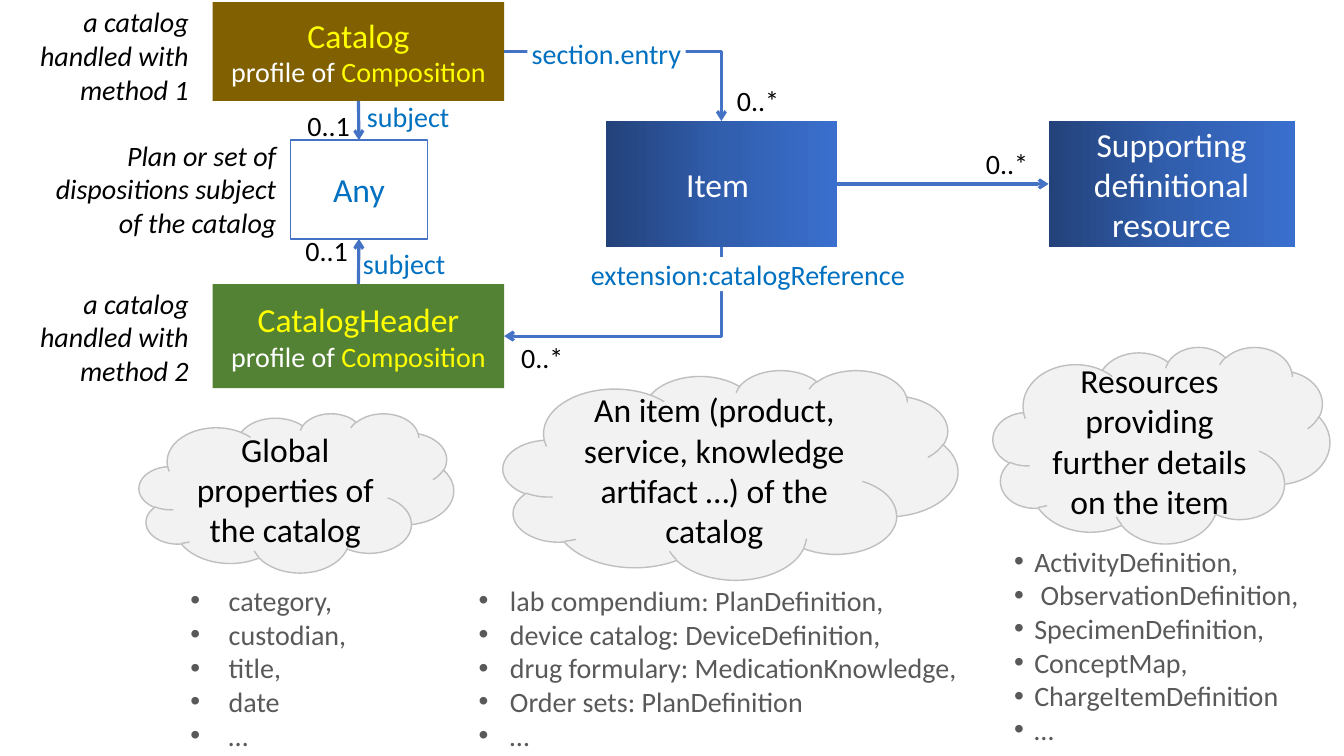
from copy import deepcopy

from pptx import Presentation, util as u
from pptx.dml.color import RGBColor
from pptx.enum import shapes, text
from pptx.oxml import parse_xml
from pptx.oxml.ns import nsdecls, qn

# ---- Content ----
C = dict(gold="806000", green="548235", yellow="FFFF00", white="FFFFFF", black="000000",
         blue="0070C0", line="4472C4", cloud="F2F2F2", edge="BFBFBF", grey="595959")
GRADIENT = [(0, "23427A"), (0.5, "315EAD"), (1, "3A6FCE")]
PROFILE = [("profile of ", 20, "white"), ("Composition", 20, "yellow")]

# Diagram grid: column (left, width) and row (top, height), in inches
COLS = dict(catalog=(2.11, 2.89), any=(2.88, 1.36), item=(6.01, 2.29), support=(10.4, 2.44))
ROWS = dict(top=(0.02, 0.98), any=(1.39, 0.98), middle=(1.2, 1.25), header=(2.82, 1.03))

# name: (column, row, fill, outline, paragraphs of runs)
BOXES = {
    "catalog": ("catalog", "top", "gold", None, [[("Catalog", 24, "yellow")], PROFILE]),
    "header": ("catalog", "header", "green", None, [[("CatalogHeader ", 24, "yellow")] + PROFILE]),
    "any": ("any", "any", "white", "line", [[("Any", 24, "blue")]]),
    "item": ("item", "middle", None, None, [[("Item ", 24, "white")]]),
    "support": ("support", "middle", None, None,
                [[("Supporting definitional resource", 24, "white")]]),
}
CLOUDS = [
    ((1.38, 4.1, 3.12, 1.58), "Global properties of the catalog"),
    ((4.99, 3.67, 4.51, 2.08), "An item (product, service, knowledge artifact …) of the catalog"),
    ((9.85, 3.44, 3.34, 1.95), "Resources providing further details on the item"),
]
# (position, bullet indent, entries)
LISTS = [
    ((1.79, 5.74, 2.49, 1.78), 0.38, ["category,", "custodian,", "title,", "date", "…"]),
    ((4.65, 5.74, 5.57, 1.78), 0.31,
     ["lab compendium: PlanDefinition,", "device catalog: DeviceDefinition,",
      "drug formulary: MedicationKnowledge,", "Order sets: PlanDefinition", "…"]),
    ((9.96, 5.35, 3.24, 2.12), 0.2,
     ["ActivityDefinition,", " ObservationDefinition,", "SpecimenDefinition,", "ConceptMap,",
      "ChargeItemDefinition", "…"]),
]
NOTES = [
    ((0.12, 0, 1.85, 1.11), "a catalog handled with method 1"),
    ((0.12, 2.79, 1.85, 1.11), "a catalog handled with method 2"),
    ((0.3, 1.32, 2.54, 1.11), "Plan or set of dispositions subject of the catalog"),
]
CARDINALITIES = [(5.07, 3.33, "0..*"), (9.68, 1.4, "0..*"), (7.21, 0.78, "0..*"),
                 (2.95, 1.03, "0..1"), (2.93, 2.27, "0..1")]
# (left, top, width, wording, fill, alignment)
RELATIONS = [
    (5.86, 2.55, 3.41, "extension:catalogReference", "white", "LEFT"),
    (5.23, 0.36, 1.57, "section.entry", "white", "CENTER"),
    (3.6, 2.45, 1, "subject", None, "LEFT"),
    (3.64, 0.99, 1, "subject", None, "LEFT"),
]
BOTTOM, LEFT, TOP, RIGHT = 2, 1, 0, 3
STRAIGHT = [("catalog", BOTTOM, "any", TOP), ("header", TOP, "any", BOTTOM),
            ("item", RIGHT, "support", LEFT)]

prs = Presentation()
prs.slide_width, prs.slide_height = u.Inches(13.33), u.Inches(7.5)
s = prs.slides.add_slide(prs.slide_layouts[6])


# ---- Helpers ----
def rgb(name):
    return RGBColor.from_string(C[name])


def inches(values):
    return [u.Inches(v) for v in values]


def write(sp, paragraphs, align="LEFT", anchor="TOP", italic=False, inset=None, indent=None):
    tf = sp.text_frame
    tf.word_wrap = True
    tf.vertical_anchor = getattr(text.MSO_ANCHOR, anchor)
    if inset is not None:
        for side in ("left", "top", "right", "bottom"):
            setattr(tf, "margin_" + side, inset)
    for i, runs in enumerate(paragraphs):
        p = tf.add_paragraph() if i else tf.paragraphs[0]
        p.alignment = getattr(text.PP_ALIGN, align)
        if indent:
            pPr = p._p.get_or_add_pPr()
            pPr.set("marL", str(u.Inches(indent)))
            pPr.set("indent", str(-u.Inches(indent)))
            pPr.append(parse_xml(f'<a:buFont {nsdecls("a")} typeface="Arial"/>'))
            pPr.append(parse_xml(f'<a:buChar {nsdecls("a")} char="•"/>'))
        for words, size, color in runs:
            r = p.add_run()
            r.text = words
            for key, value in dict(name="Calibri", size=u.Pt(size), italic=italic).items():
                setattr(r.font, key, value)
            r.font.color.rgb = rgb(color)


def add_block(kind, at, fill, outline):
    sp = s.shapes.add_shape(kind, *inches(at))
    sp.shadow.inherit = False
    if fill:
        sp.fill.solid()
        sp.fill.fore_color.rgb = rgb(fill)
    else:
        sp.fill.gradient()
        sp.fill.gradient_angle = 0
        first = sp._element.spPr.find(".//" + qn("a:gs"))
        first.addnext(deepcopy(first))
        for stop, (position, color) in zip(sp.fill.gradient_stops, GRADIENT):
            stop.position = position
            stop.color.rgb = RGBColor.from_string(color)
    if outline:
        sp.line.color.rgb = rgb(outline)
        sp.line.width = u.Pt(1)
    else:
        sp.line.fill.background()
    return sp


def add_arrow(kind, points, end):
    c = s.shapes.add_connector(kind, *inches(points))
    c.line.color.rgb = rgb("line")
    c.line.width = u.Pt(2.25)
    c.line._get_or_add_ln().append(parse_xml(f'<a:{end} {nsdecls("a")} type="arrow"/>'))
    c._element.spPr.append(parse_xml(f'<a:effectLst {nsdecls("a")}/>'))
    return c


# ---- Clouds and bullet lists ----
for at, words in CLOUDS:
    sp = add_block(shapes.MSO_SHAPE.CLOUD, at, "cloud", "edge")
    write(sp, [[(words, 24, "black")]], "CENTER", "MIDDLE")
for at, indent, entries in LISTS:
    write(s.shapes.add_textbox(*inches(at)), [[(e, 20, "grey")] for e in entries], indent=indent)

# ---- Boxes ----
box = {}
for name, (col, row, fill, outline, paragraphs) in BOXES.items():
    (x, w), (y, h) = COLS[col], ROWS[row]
    box[name] = add_block(shapes.MSO_SHAPE.RECTANGLE, (x, y, w, h), fill, outline)
    write(box[name], paragraphs, "CENTER", "MIDDLE")

# ---- Arrows ----
for start, side, target, target_side in STRAIGHT:
    c = add_arrow(shapes.MSO_CONNECTOR.STRAIGHT, (0, 0, 1, 1), "tailEnd")
    c.begin_connect(box[start], side)
    c.end_connect(box[target], target_side)

# Elbows run sideways from the catalog column, then up or down to the item
catalog_right = sum(COLS["catalog"])
item_middle = COLS["item"][0] + COLS["item"][1] / 2
item_top, item_bottom = ROWS["middle"][0], sum(ROWS["middle"])
for row, item_edge, end in (("top", item_top, "tailEnd"), ("header", item_bottom, "headEnd")):
    y = ROWS[row][0] + ROWS[row][1] / 2
    c = add_arrow(shapes.MSO_CONNECTOR.ELBOW, (catalog_right, y, item_middle, item_edge), end)
    c._element.spPr.find(qn("a:prstGeom")).set("prst", "bentConnector2")

# ---- Labels ----
for x, y, w, words, fill, align in RELATIONS:
    sp = s.shapes.add_textbox(*inches((x, y, w, 0.34)))
    if fill:
        sp.fill.solid()
        sp.fill.fore_color.rgb = rgb(fill)
    write(sp, [[(words, 20, "blue")]], align, inset=0)
for at, words in NOTES:
    write(s.shapes.add_textbox(*inches(at)), [[(words, 20, "black")]], "RIGHT", italic=True)
for x, y, words in CARDINALITIES:
    write(s.shapes.add_textbox(*inches((x, y, 0.69, 0.44))), [[(words, 20, "black")]])

prs.save("out.pptx")
